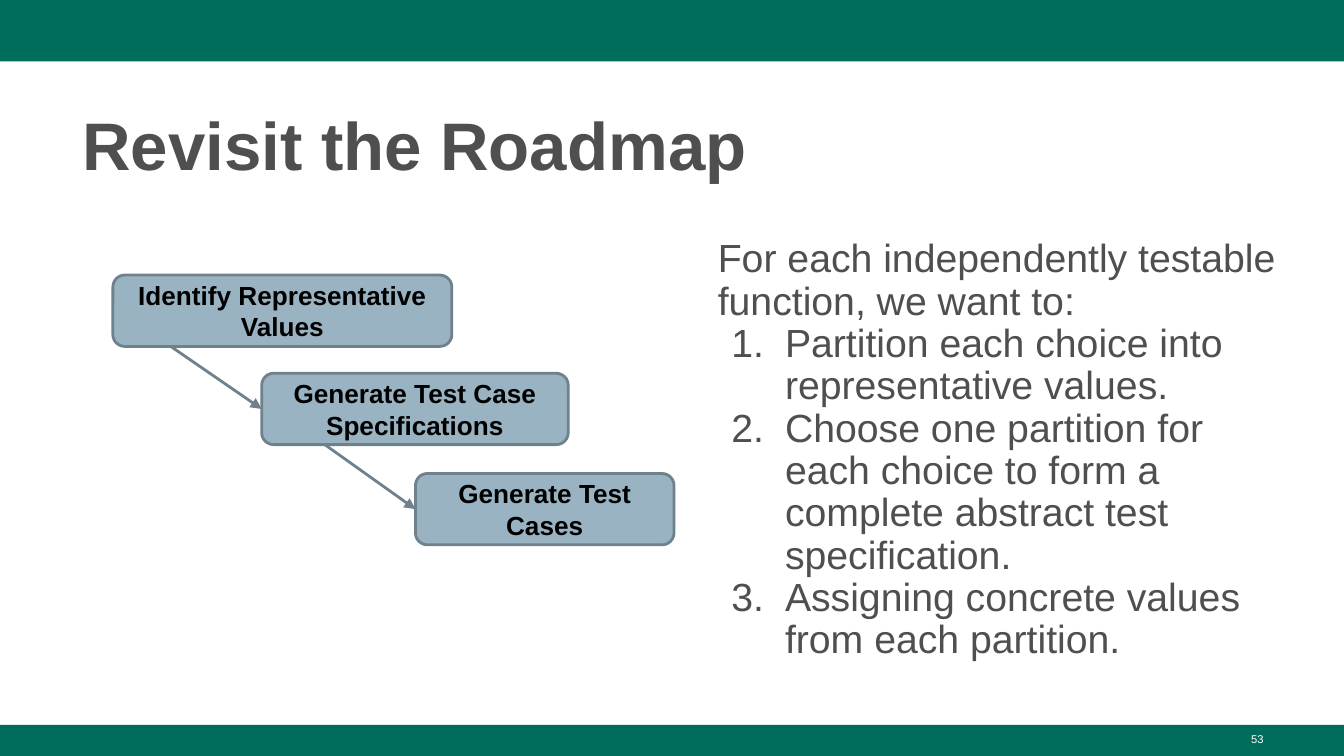
from lxml.etree import SubElement
from pptx import Presentation
from pptx.dml.color import RGBColor
from pptx.enum.shapes import MSO_CONNECTOR, MSO_SHAPE
from pptx.enum.text import MSO_ANCHOR, PP_ALIGN
from pptx.oxml.ns import qn
from pptx.util import Pt

GREEN, GREY, WHITE, BLACK = "006C5C", "4F4F4F", "FFFFFF", "000000"
STEP_FILL, STEP_LINE = "99B3C2", "6F828C"


def rgb(color):
    return RGBColor.from_string(color)


def number_paragraph(p, color):
    """Give a paragraph an automatic number and a hanging indent."""
    pPr = p._p.get_or_add_pPr()
    pPr.set("marL", str(Pt(36)))
    pPr.set("indent", str(Pt(-28.8)))
    clr = SubElement(pPr, qn("a:buClr"))
    SubElement(clr, qn("a:srgbClr"), val=color)
    SubElement(pPr, qn("a:buFont"), typeface="Arial")
    SubElement(pPr, qn("a:buAutoNum"), type="arabicPeriod")


def write(p, text, size=14, color=GREY, bold=False, align=PP_ALIGN.LEFT,
          spacing=1.0, numbered=False):
    if numbered:
        number_paragraph(p, color)
    p.alignment = align
    p.line_spacing = spacing
    r = p.add_run()
    r.text = text
    r.font.name = "Arial"
    r.font.size = Pt(size)
    r.font.bold = bold
    r.font.color.rgb = rgb(color)


class Deck:
    def __init__(self, width, height):
        self.prs = Presentation()
        self.prs.slide_width, self.prs.slide_height = Pt(width), Pt(height)

    def add_slide(self):
        self.s = self.prs.slides.add_slide(self.prs.slide_layouts[6])

    def frame(self, sp, inset, anchor):
        """Set wrapping, margins and anchor of a shape's text."""
        tf = sp.text_frame
        tf.word_wrap = True
        tf.margin_left = tf.margin_right = Pt(7.2)
        tf.margin_top = tf.margin_bottom = Pt(inset)
        tf.vertical_anchor = anchor
        return tf

    def text(self, x, y, w, h, inset=3.6, anchor=MSO_ANCHOR.TOP):
        sp = self.s.shapes.add_textbox(Pt(x), Pt(y), Pt(w), Pt(h))
        return self.frame(sp, inset, anchor)

    def shape(self, kind, x, y, w, h, fill, line=None):
        sp = self.s.shapes.add_shape(kind, Pt(x), Pt(y), Pt(w), Pt(h))
        sp.shadow.inherit = False
        sp.fill.solid()
        sp.fill.fore_color.rgb = rgb(fill)
        if line:
            sp.line.color.rgb = rgb(line)
            sp.line.width = Pt(1.5)
        else:
            sp.line.fill.background()
        return sp

    def band(self, y, h):
        self.shape(MSO_SHAPE.RECTANGLE, 0, y, 720, h, GREEN)

    def step(self, label, x, y, w):
        sp = self.shape(MSO_SHAPE.ROUNDED_RECTANGLE, x, y, w, 38.2,
                        STEP_FILL, STEP_LINE)
        tf = self.frame(sp, 7.2, MSO_ANCHOR.MIDDLE)
        write(tf.paragraphs[0], label, color=BLACK, bold=True,
              align=PP_ALIGN.CENTER)
        return sp

    def arrow(self, source, target, offset):
        """Draw from source's bottom edge, offset from its left, to target's left."""
        cn = self.s.shapes.add_connector(
            MSO_CONNECTOR.STRAIGHT, source.left + Pt(offset),
            source.top + source.height, target.left,
            target.top + target.height // 2)
        cn.end_connect(target, 1)
        cn.line.color.rgb = rgb(STEP_LINE)
        cn.line.width = Pt(1.5)
        SubElement(cn.line._get_or_add_ln(), qn("a:tailEnd"), type="triangle")
        SubElement(cn._element.spPr, qn("a:effectLst"))


def main():
    deck = Deck(720, 405)
    deck.add_slide()
    deck.band(0, 33)
    deck.band(388.3, 16.7)

    title = deck.text(37, 48.2, 647, 52.6)
    write(title.paragraphs[0], "Revisit the Roadmap", size=36, bold=True,
          spacing=1.08)

    steps = [deck.step(*step) for step in (
        ("Identify Representative Values", 60.5, 147.4, 181.6),
        ("Generate Test Case Specifications", 140.2, 200, 164.2),
        ("Generate Test Cases", 222.6, 253.7, 138.5),
    )]
    for source, target, offset in zip(steps, steps[1:], (31, 33.8)):
        deck.arrow(source, target, offset)

    body = deck.text(377.5, 95, 314.6, 293, 7.2, MSO_ANCHOR.MIDDLE)
    write(body.paragraphs[0],
          "For each independently testable function, we want to:",
          size=21, spacing=0.9)
    for item in (
        "Partition each choice into representative values.",
        "Choose one partition for each choice to form a complete abstract "
        "test specification.",
        "Assigning concrete values from each partition.",
    ):
        write(body.add_paragraph(), item, size=21, spacing=0.9, numbered=True)

    number = deck.text(516.2, 388.8, 167.8, 16.2)
    write(number.paragraphs[0], "53", size=6, color=WHITE,
          align=PP_ALIGN.RIGHT)

    deck.prs.save("out.pptx")


if __name__ == "__main__":
    main()
